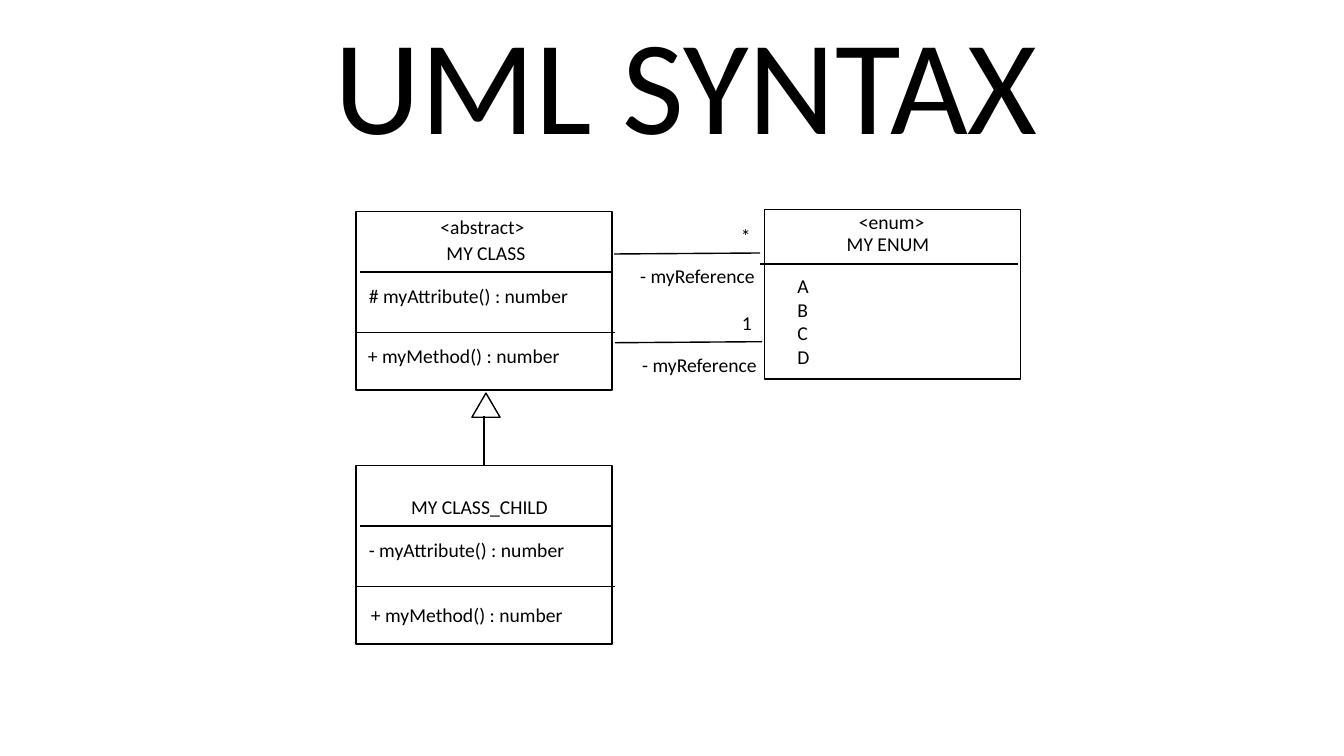
import pptx
import pptx.util
import pptx.dml.color
import pptx.enum.shapes
import pptx.enum.text
import pptx.oxml

COLORS = {"ink": "000000", "paper": "FFFFFF"}
FONT = "Calibri"
INK = pptx.dml.color.RGBColor.from_string(COLORS["ink"])
PAPER = pptx.dml.color.RGBColor.from_string(COLORS["paper"])
INCH = pptx.util.Inches

deck = pptx.Presentation()
deck.slide_width, deck.slide_height = INCH(13.33), INCH(7.5)
slide = deck.slides.add_slide(deck.slide_layouts[5])


def write(holder, text, size):
    frame = holder.text_frame
    frame.text = text
    frame.word_wrap = False
    frame.auto_size = pptx.enum.text.MSO_AUTO_SIZE.NONE
    frame.vertical_anchor = pptx.enum.text.MSO_ANCHOR.TOP
    for paragraph in frame.paragraphs:
        paragraph.alignment = pptx.enum.text.PP_ALIGN.LEFT
        for run in paragraph.runs:
            run.font.name = FONT
            run.font.size = pptx.util.Pt(size)
            run.font.color.rgb = INK


title = slide.shapes.title
title.left, title.top, title.width, title.height = INCH(3.22), INCH(-0.05), INCH(7.25), INCH(1.72)
write(title, "UML SYNTAX", 96)

class_left, box_width, class_height = 3.53, 2.54, 1.77
parent_top, child_top = 2.1, 4.62
enum_left, enum_top, enum_height = 7.58, 2.08, 1.68

RECTANGLE = pptx.enum.shapes.MSO_SHAPE.RECTANGLE
TRIANGLE = pptx.enum.shapes.MSO_SHAPE.ISOSCELES_TRIANGLE
outlines = [
    (RECTANGLE, class_left, parent_top, box_width, class_height),
    (RECTANGLE, enum_left, enum_top, box_width, enum_height),
    (RECTANGLE, class_left, child_top, box_width, class_height),
    (TRIANGLE, 4.68, 3.9, 0.28, 0.24),
]
for kind, left, top, width, height in outlines:
    outline = slide.shapes.add_shape(kind, INCH(left), INCH(top), INCH(width), INCH(height))
    outline.shadow.inherit = False
    outline.fill.solid()
    outline.fill.fore_color.rgb = PAPER
    outline.line.color.rgb = INK
    outline.line.width = pptx.util.Pt(1)

enum_divider = (7.54, 2.62, 10.1, 2.62)
many_reference = (6.09, 2.52, 7.54, 2.51)
single_reference = (6.1, 3.4, 7.56, 3.39)
inheritance = (4.8, 4.13, 4.8, child_top)
strokes = [enum_divider, many_reference, single_reference, inheritance]
for top in (parent_top, child_top):
    strokes.append((3.57, top + 0.6, 6.07, top + 0.6))
    strokes.append((3.54, top + 1.2, 6.1, top + 1.2))
for x1, y1, x2, y2 in strokes:
    stroke = slide.shapes.add_connector(
        pptx.enum.shapes.MSO_CONNECTOR.STRAIGHT, INCH(x1), INCH(y1), INCH(x2), INCH(y2))
    stroke.line.color.rgb = INK
    stroke.line.width = pptx.util.Pt(1)
    stroke._element.spPr.append(pptx.oxml.parse_xml(
        '<a:effectLst xmlns:a="http://schemas.openxmlformats.org/drawingml/2006/main"/>'))

labels = [
    ("<abstract>", 4.27, 2.08, 1.05),
    ("MY CLASS", 4.33, 2.34, 0.99),
    ("# myAttribute() : number", 3.56, 2.77, 2.2),
    ("+ myMethod() : number", 3.55, 3.36, 2.12),
    ("MY CLASS_CHILD", 3.98, 4.86, 1.57),
    ("- myAttribute() : number", 3.56, 5.29, 2.16),
    ("+ myMethod() : number", 3.58, 5.93, 2.12),
    ("<enum>", 8.42, 2.03, 0.86),
    ("MY ENUM", 8.3, 2.25, 1.03),
    ("A\nB\nC\nD", 7.81, 2.67, 0.32),
    ("*", 7.25, 2.17, 0.3),
    ("- myReference", 6.25, 2.57, 1.35),
    ("1", 7.26, 3.04, 0.3),
    ("- myReference", 6.27, 3.45, 1.35),
]
for text, left, top, width in labels:
    height = 0.1 + 0.24 * len(text.splitlines())
    label = slide.shapes.add_textbox(INCH(left), INCH(top), INCH(width), INCH(height))
    write(label, text, 14)

deck.save("out.pptx")
